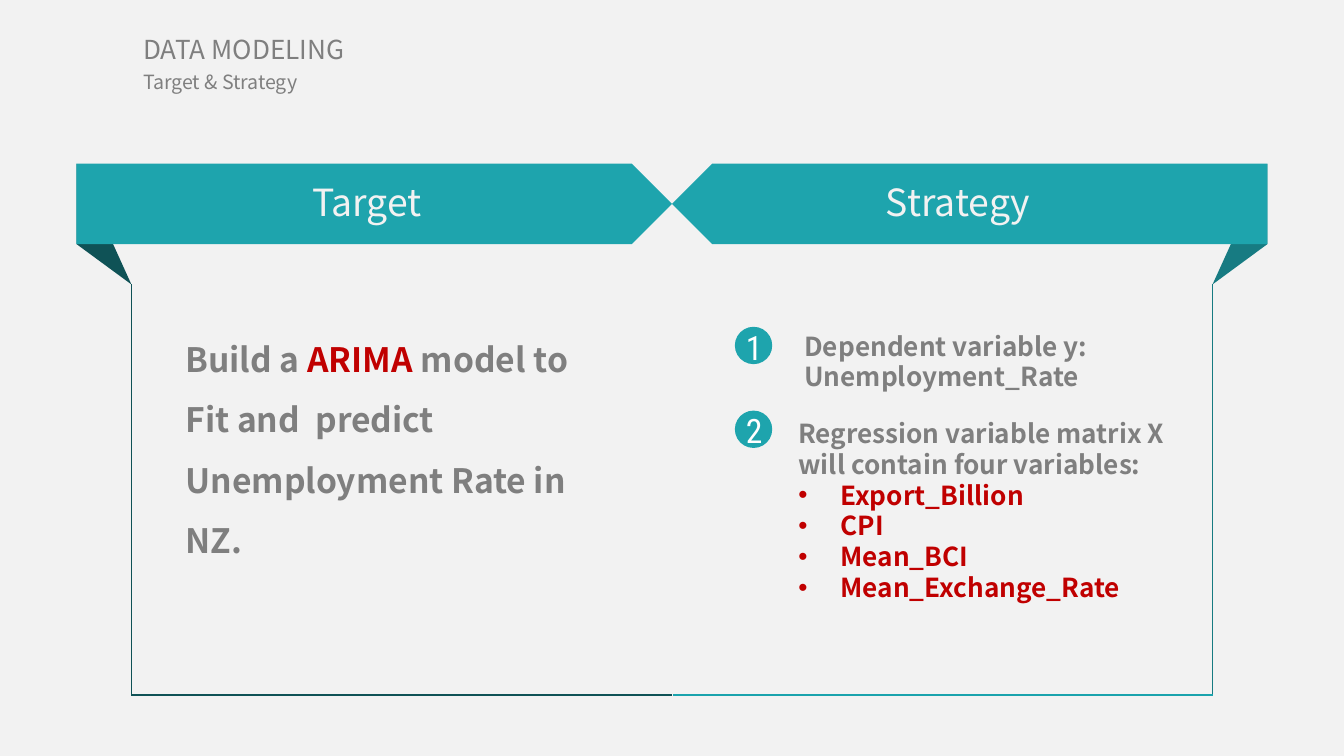
from lxml import etree
from pptx import Presentation
from pptx.dml.color import RGBColor
from pptx.enum import shapes, text
from pptx.oxml import ns
from pptx.util import Pt

TEAL = RGBColor(0x1E, 0xA4, 0xAD)
TEAL_DARK = RGBColor(0x17, 0x7B, 0x82)
TEAL_DEEP = RGBColor(0x0F, 0x52, 0x56)
TEAL_LINE = RGBColor(0x1A, 0xA3, 0xAD)
PALE = RGBColor(0xF2, 0xF2, 0xF2)
WHITE = RGBColor(0xFF, 0xFF, 0xFF)
GRAY = RGBColor(0x7F, 0x7F, 0x7F)
RED = RGBColor(0xC0, 0x00, 0x00)
SANS, NUMERAL = "Noto Sans CJK SC", "Roboto Condensed"

# Content: a paragraph is a list of (text, colour) runs
HEADING = "DATA MODELING"
SUBHEADING = "Target & Strategy"
BANNERS = ["Target", "Strategy "]
TARGET = [("Build a ", GRAY), ("ARIMA", RED),
          (" model to Fit and  predict Unemployment Rate in NZ.", GRAY)]
DEPENDENT = ["Dependent variable y: ", "Unemployment_Rate"]
REGRESSION = "Regression variable matrix X will contain four variables:"
VARIABLES = ["Export_Billion", "CPI", "Mean_BCI", "Mean_Exchange_Rate"]

# Layout in points
WIDTH, HEIGHT = 720, 405
MIDDLE = WIDTH / 2
BANNER_TOP, BANNER_WIDTH, BANNER_HEIGHT = 87.7, 319, 43.1
BANNER_BOTTOM = BANNER_TOP + BANNER_HEIGHT
FOLD_WIDTH, FOLD_BOTTOM = 29.4, 152.4
FRAME_BOTTOM = 372.3
BADGE_LEFT, BADGE_SIZE = 393.7, 20
BADGE_TOPS = [175.1, 220]
LIST_SPACING = Pt(16.5)
BULLET_INDENT = 22.5

presentation = Presentation()
presentation.slide_width, presentation.slide_height = Pt(WIDTH), Pt(HEIGHT)
slide = presentation.slides.add_slide(presentation.slide_layouts[6])
slide.background.fill.solid()
slide.background.fill.fore_color.rgb = PALE


def paint(shape, color):
    shape.shadow.inherit = False
    shape.fill.solid()
    shape.fill.fore_color.rgb = color
    shape.line.fill.background()


def add_line(x1, y1, x2, y2, color):
    line = slide.shapes.add_connector(
        shapes.MSO_CONNECTOR.STRAIGHT, Pt(x1), Pt(y1), Pt(x2), Pt(y2))
    line.line.color.rgb = color
    line.line.width = Pt(0.75)
    etree.SubElement(line._element.spPr, ns.qn("a:effectLst"))


def add_text(box, paragraphs, size, font=SANS, bold=False, align=None,
             spacing=None, margins=(0, 0), wrap=True):
    frame = slide.shapes.add_textbox(*map(Pt, box)).text_frame
    frame.word_wrap = wrap
    frame.margin_left = frame.margin_right = Pt(margins[0])
    frame.margin_top = frame.margin_bottom = Pt(margins[1])
    for index, runs in enumerate(paragraphs):
        paragraph = frame.add_paragraph() if index else frame.paragraphs[0]
        paragraph.alignment = align
        paragraph.line_spacing = spacing
        paragraph.font.name = font
        paragraph.font.size = Pt(size)
        paragraph.font.bold = bold
        for words, color in runs:
            run = paragraph.add_run()
            run.text = words
            run.font.color.rgb = color
    return frame


def add_bullet(paragraph):
    properties = paragraph._p.get_or_add_pPr()
    properties.set("marL", str(Pt(BULLET_INDENT)))
    properties.set("indent", str(-Pt(BULLET_INDENT)))
    etree.SubElement(properties, ns.qn("a:buFont")).set("typeface", "Arial")
    etree.SubElement(properties, ns.qn("a:buChar")).set("char", "•")
    # Character defaults must follow the bullet
    properties.append(properties.find(ns.qn("a:defRPr")))


# Mirrored halves: fold, frame side and bottom, banner
for side, title, fold_color, bottom_color in [
        (-1, BANNERS[0], TEAL_DEEP, TEAL_DEEP),
        (1, BANNERS[1], TEAL_DARK, TEAL_LINE)]:
    outer = MIDDLE + side * BANNER_WIDTH
    inner = outer - side * FOLD_WIDTH
    builder = slide.shapes.build_freeform(Pt(outer), Pt(BANNER_TOP), scale=1.0)
    builder.add_line_segments([(Pt(inner), Pt(FOLD_BOTTOM)),
                               (Pt(outer), Pt(BANNER_BOTTOM))], close=True)
    paint(builder.convert_to_shape(), fold_color)
    add_line(inner, FOLD_BOTTOM, inner, FRAME_BOTTOM, fold_color)
    add_line(MIDDLE + max(side, 0) * 0.5, FRAME_BOTTOM, inner, FRAME_BOTTOM,
             bottom_color)

    banner = slide.shapes.add_shape(
        shapes.MSO_SHAPE.PENTAGON, Pt(min(outer, MIDDLE)), Pt(BANNER_TOP),
        Pt(BANNER_WIDTH), Pt(BANNER_HEIGHT))
    paint(banner, TEAL)
    if side > 0:
        banner._element.spPr.xfrm.set("flipH", "1")
    add_text(((outer + MIDDLE) / 2 - 58.7, 92.2, 109.4, 31.5),
             [[(title, PALE)]], 20, align=text.PP_ALIGN.CENTER,
             margins=(7.2, 3.6))

# Target statement
add_text((99.4, 170.6, 221, 160), [TARGET], 18, bold=True, spacing=1.5)

# Numbered badges
for number, top in enumerate(BADGE_TOPS, 1):
    paint(slide.shapes.add_shape(
        shapes.MSO_SHAPE.OVAL, Pt(BADGE_LEFT), Pt(top),
        Pt(BADGE_SIZE), Pt(BADGE_SIZE)), TEAL)
    add_text((BADGE_LEFT + 2, top - 0.2, 16.6, 21.6), [[(str(number), WHITE)]],
             18, font=NUMERAL, align=text.PP_ALIGN.CENTER)

# Strategy details
add_text((430.9, 177.1, 185.8, 33.8), [[(line, GRAY)] for line in DEPENDENT],
         14, bold=True, spacing=LIST_SPACING)
regression = add_text(
    (427.7, 223.9, 203, 119.5),
    [[(REGRESSION, GRAY)]] + [[(name, RED)] for name in VARIABLES],
    14, bold=True, spacing=LIST_SPACING)
for paragraph in regression.paragraphs[1:]:
    add_bullet(paragraph)

# Heading
add_text((71.3, 34.6, 101.5, 18), [[(SUBHEADING, GRAY)]], 10.5,
         margins=(5.4, 2.7), wrap=False)
add_text((71.3, 15.1, 169.9, 22.3), [[(HEADING, GRAY)]], 14,
         margins=(5.4, 2.7))

presentation.save("out.pptx")
